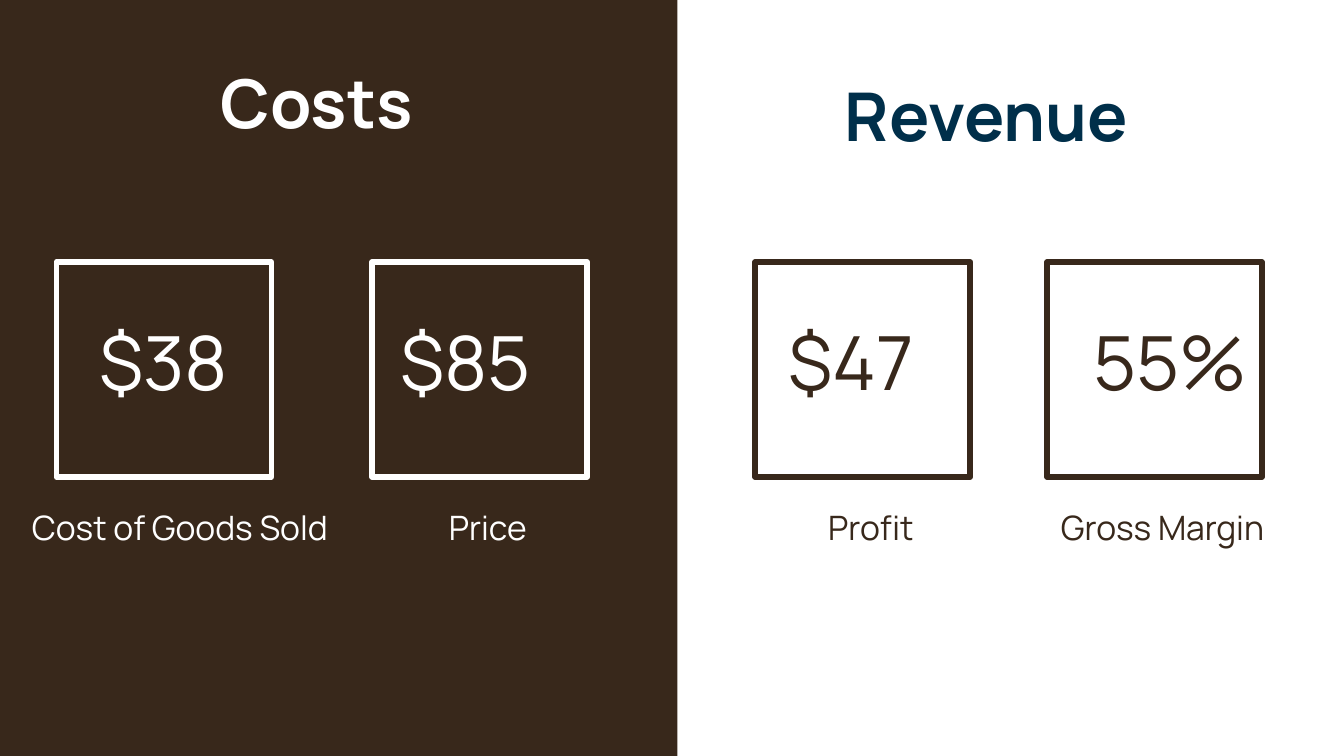
"""Build a slide that sets costs beside revenue, on a square grid of 100 columns."""
from dataclasses import dataclass

import lxml.etree
import pptx
import pptx.dml.color
import pptx.enum.shapes
import pptx.enum.text
import pptx.oxml.ns
import pptx.util

BROWN = pptx.dml.color.RGBColor(0x38, 0x28, 0x1B)
WHITE = pptx.dml.color.RGBColor(0xFF, 0xFF, 0xFF)
NAVY = pptx.dml.color.RGBColor(0x00, 0x2F, 0x4A)

SLIDE_WIDTH = pptx.util.Inches(10)
SLIDE_HEIGHT = SLIDE_WIDTH * 9 // 16
UNIT = SLIDE_WIDTH / 100
SLIDE_ROWS = SLIDE_HEIGHT / UNIT
FONT = "Manrope"
CENTER = pptx.enum.text.PP_ALIGN.CENTER
LEFT = pptx.enum.text.PP_ALIGN.LEFT

FRAME_ROW, FRAME_SIZE = 19.5, 16
NUMBER_ROW, NUMBER_WIDTH = 22.5, 15
LABEL_ROW, LABEL_WIDTH, LABEL_HEIGHT = 36.7, 43.6, 5.8


@dataclass(frozen=True)
class Area:
    """A rectangle in columns and rows of the grid."""

    column: float
    row: float
    columns: float
    rows: float

    def lengths(self) -> list[int]:
        """Return left, top, width and height as slide lengths."""
        return [round(value * UNIT) for value in (self.column, self.row, self.columns, self.rows)]


@dataclass(frozen=True)
class Heading:
    """A heading over one half of the slide."""

    text: str
    area: Area
    color: pptx.dml.color.RGBColor
    spacing: dict


@dataclass(frozen=True)
class Metric:
    """A framed number with its label below."""

    number: str
    label: str
    column: float
    number_column: float
    label_center: float
    color: pptx.dml.color.RGBColor
    number_width: float = NUMBER_WIDTH
    number_height: float = 4.9


HEADINGS = [
    Heading("Costs", Area(3.3, 3.6, 40.5, 8.5), WHITE, {}),
    Heading("Revenue", Area(50.6, 3.6, 45.6, 8.5), NAVY,
            {"line_spacing": 1.15, "space_after": pptx.util.Pt(16)}),
]
METRICS = [
    Metric("$38", "Cost of Goods Sold", 4.2, 6.4, 13.4, WHITE, 14.1, 9),
    Metric("$85", "Price", 27.7, 28.8, 36.3, WHITE),
    Metric("$47", "Profit", 56.2, 57.7, 64.8, BROWN),
    Metric("55%", "Gross Margin", 77.9, 80.4, 86.5, BROWN),
]


def set_attributes(target: object, values: dict) -> None:
    """Set every named value on the target."""
    for name, value in values.items():
        setattr(target, name, value)


def add_rectangle(slide: pptx.slide.Slide, area: Area) -> pptx.shapes.autoshape.Shape:
    """Add a rectangle without a shadow."""
    shape = slide.shapes.add_shape(pptx.enum.shapes.MSO_SHAPE.RECTANGLE, *area.lengths())
    shape.shadow.inherit = False
    return shape


def add_panel(slide: pptx.slide.Slide, area: Area, color: pptx.dml.color.RGBColor) -> None:
    """Add a filled panel without an outline."""
    panel = add_rectangle(slide, area)
    panel.fill.solid()
    panel.fill.fore_color.rgb = color
    panel.line.fill.background()


def add_frame(slide: pptx.slide.Slide, area: Area, color: pptx.dml.color.RGBColor) -> None:
    """Add an unfilled frame with rounded line joins."""
    frame = add_rectangle(slide, area)
    frame.fill.background()
    frame.line.color.rgb = color
    frame.line.width = pptx.util.Pt(3)
    outline = frame.line._get_or_add_ln()
    lxml.etree.SubElement(outline, pptx.oxml.ns.qn("a:round"))


def add_text(slide: pptx.slide.Slide, text: str, area: Area, size: float,
             color: pptx.dml.color.RGBColor, bold: bool = False, **paragraph_format: object) -> None:
    """Add a text box with one formatted paragraph."""
    text_frame = slide.shapes.add_textbox(*area.lengths()).text_frame
    margins = {f"margin_{side}": pptx.util.Inches(0.1) for side in ("left", "top", "right", "bottom")}
    set_attributes(text_frame, {"word_wrap": True, **margins})
    paragraph = text_frame.paragraphs[0]
    set_attributes(paragraph, paragraph_format)
    run = paragraph.add_run()
    run.text = text
    set_attributes(run.font, {"name": FONT, "size": pptx.util.Pt(size), "bold": bold})
    run.font.color.rgb = color


def add_metric(slide: pptx.slide.Slide, metric: Metric) -> None:
    """Add the frame, number and label of a metric."""
    add_frame(slide, Area(metric.column, FRAME_ROW, FRAME_SIZE, FRAME_SIZE), metric.color)
    number_area = Area(metric.number_column, NUMBER_ROW, metric.number_width, metric.number_height)
    add_text(slide, metric.number, number_area, 40, metric.color, alignment=LEFT)
    label_column = metric.label_center - LABEL_WIDTH / 2
    label_area = Area(label_column, LABEL_ROW, LABEL_WIDTH, LABEL_HEIGHT)
    add_text(slide, metric.label, label_area, 18, metric.color, alignment=CENTER)


def main() -> None:
    """Build and save the presentation."""
    presentation = pptx.Presentation()
    set_attributes(presentation, {"slide_width": SLIDE_WIDTH, "slide_height": SLIDE_HEIGHT})
    slide = presentation.slides.add_slide(presentation.slide_layouts[6])
    slide.background.fill.solid()
    slide.background.fill.fore_color.rgb = WHITE
    add_panel(slide, Area(-0.3, 0, 50.7, SLIDE_ROWS), BROWN)
    for heading in HEADINGS:
        add_text(slide, heading.text, heading.area, 36, heading.color, bold=True,
                 alignment=CENTER, **heading.spacing)
    for metric in METRICS:
        add_metric(slide, metric)
    presentation.save("out.pptx")


if __name__ == "__main__":
    main()
